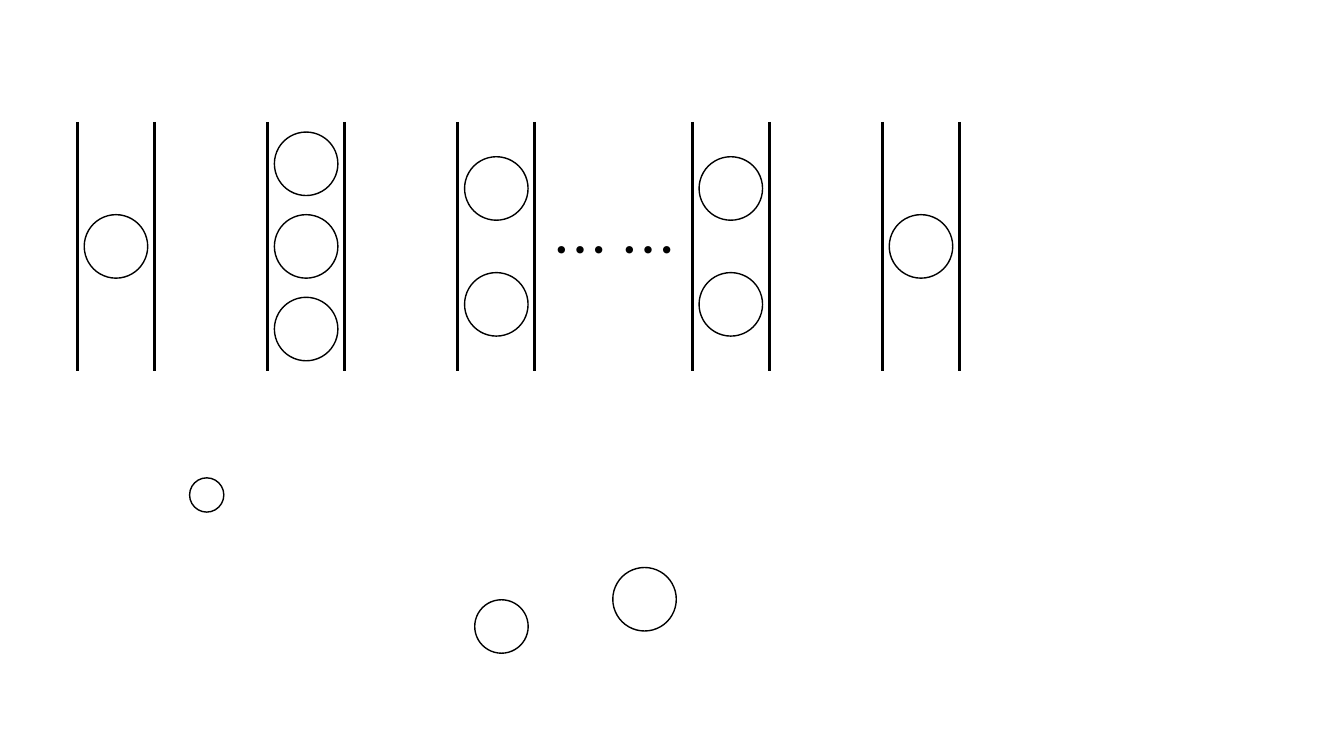
from dataclasses import dataclass

from lxml import etree
from pptx import Presentation
from pptx import util as u
from pptx.dml.color import RGBColor
from pptx.enum import lang, shapes, text
from pptx.oxml.ns import qn


@dataclass(frozen=True)
class Theme:
    ink: RGBColor = RGBColor(0, 0, 0)
    font: str = "Noto Sans CJK SC"
    dots_size: int = 40
    lane_line: float = 2
    ball_line: float = 1


THEME = Theme()
WIDTH, HEIGHT = u.Inches(13.333), u.Inches(7.5)

# Horizontal values are percent of the slide width, vertical ones of its height.
LANE_PITCH, LANE_WIDTH = 14.15, 5.74
LANE_TOP, LANE_BOTTOM = 16.13, 49.07
LANE_MIDDLE = (LANE_TOP + LANE_BOTTOM) / 2
BALL = 8.4
BALL_PITCH = {1: 0, 2: 15.33, 3: 10.93}
LANE_GROUPS = [(8.63, (1, 3, 2)), (54.38, (2, 1))]
LOOSE_BALLS = [(37.31, 82.87, 7.07), (15.38, 65.47, 4.53), (47.96, 79.27, BALL)]


def across(share):
    return u.Emu(round(WIDTH * share / 100))


def down(share):
    return u.Emu(round(HEIGHT * share / 100))


def add_wall(s, x):
    sp = s.shapes.add_connector(shapes.MSO_CONNECTOR.STRAIGHT, across(x),
                                down(LANE_TOP), across(x), down(LANE_BOTTOM))
    sp.line.color.rgb = THEME.ink
    sp.line.width = u.Pt(THEME.lane_line)
    etree.SubElement(sp._element.spPr, qn("a:effectLst"))


def add_ball(s, x, y, size=BALL):
    """Draw a circle centred on x, y; size is a share of the slide height."""
    d = down(size)
    sp = s.shapes.add_shape(shapes.MSO_SHAPE.OVAL, across(x) - d // 2,
                            down(y) - d // 2, d, d)
    sp.shadow.inherit = False
    sp.fill.background()
    sp.line.color.rgb = THEME.ink
    sp.line.width = u.Pt(THEME.ball_line)


def add_lane(s, x, count):
    """Draw two walls around x with count balls stacked evenly between them."""
    for side in (-1, 1):
        add_wall(s, x + side * LANE_WIDTH / 2)
    for i in range(count):
        add_ball(s, x, LANE_MIDDLE + (i - (count - 1) / 2) * BALL_PITCH[count])


def add_dots(s, x, y, w, h):
    sp = s.shapes.add_textbox(across(x), down(y), across(w), down(h))
    tf = sp.text_frame
    tf.word_wrap = True
    tf.auto_size = text.MSO_AUTO_SIZE.SHAPE_TO_FIT_TEXT
    p = tf.paragraphs[0]
    p.alignment = text.PP_ALIGN.CENTER
    r = p.add_run()
    r.text = "… …"
    r.font.size = u.Pt(THEME.dots_size)
    r.font.name = THEME.font
    r.font.color.rgb = THEME.ink
    r.font.language_id = lang.MSO_LANGUAGE_ID.SIMPLIFIED_CHINESE
    etree.SubElement(r.font._element, qn("a:ea"), typeface=THEME.font)


def main():
    prs = Presentation()
    prs.slide_width, prs.slide_height = WIDTH, HEIGHT
    s = prs.slides.add_slide(prs.slide_layouts[6])
    add_dots(s, 39.68, 27.87, 12.08, 10.27)
    for ball in LOOSE_BALLS:
        add_ball(s, *ball)
    for start, counts in LANE_GROUPS:
        for i, count in enumerate(counts):
            add_lane(s, start + i * LANE_PITCH, count)
    prs.save("out.pptx")


if __name__ == "__main__":
    main()
